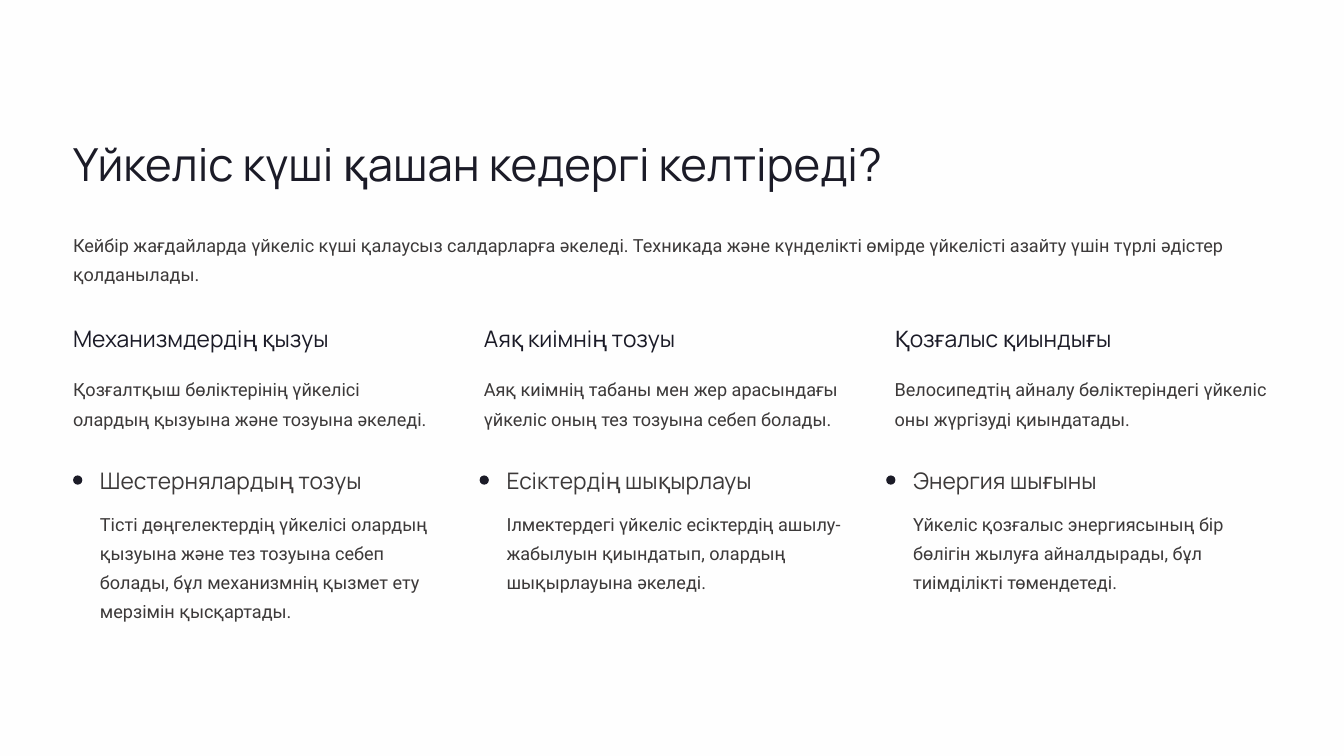
from pptx import Presentation
from pptx.dml.color import RGBColor
from pptx.enum.shapes import MSO_SHAPE
from pptx.util import Inches, Pt

ROUNDED = MSO_SHAPE.ROUNDED_RECTANGLE
COLORS = {"background": "FEFEFE", "dark": "1B1B27", "gray": "3C3939"}
STYLES = {
    "title": ("Manrope", 39, 48.5, "dark", False),
    "heading": ("Manrope", 19.5, 24, "dark", False),
    "point": ("Manrope", 19.5, 24, "gray", False),
    "body": ("Roboto", 15.5, 25, "gray", True),
}
LEFT = 0.87
TITLE = "Үйкеліс күші қашан кедергі келтіреді?"
INTRO = ("Кейбір жағдайларда үйкеліс күші қалаусыз салдарларға әкеледі. "
         "Техникада және күнделікті өмірде үйкелісті азайту үшін түрлі әдістер қолданылады.")
TOPICS = [
    ("Механизмдердің қызуы", 3.15,
     "Қозғалтқыш бөліктерінің үйкелісі олардың қызуына және тозуына әкеледі.", 4.35),
    ("Аяқ киімнің тозуы", 2.71,
     "Аяқ киімнің табаны мен жер арасындағы үйкеліс оның тез тозуына себеп болады.", 4.35),
    ("Қозғалыс қиындығы", 2.71,
     "Велосипедтің айналу бөліктеріндегі үйкеліс оны жүргізуді қиындатады.", 4.5),
]
POINTS = [
    ("Шестернялардың тозуы", 3.25,
     "Тісті дөңгелектердің үйкелісі олардың қызуына және тез тозуына себеп болады, "
     "бұл механизмнің қызмет ету мерзімін қысқартады.", 1.39),
    ("Есіктердің шықырлауы", 3.05,
     "Ілмектердегі үйкеліс есіктердің ашылу-жабылуын қиындатып, "
     "олардың шықырлауына әкеледі.", 1.04),
    ("Энергия шығыны", 2.71,
     "Үйкеліс қозғалыс энергиясының бір бөлігін жылуға айналдырады, "
     "бұл тиімділікті төмендетеді.", 1.04),
]


def color(name):
    return RGBColor.from_string(COLORS[name])


def add_text(page, text, style, left, top, width, height):
    font_name, size, line_height, color_name, wraps = STYLES[style]
    box = page.shapes.add_textbox(Inches(left), Inches(top), Inches(width), Inches(height))
    frame = box.text_frame
    frame.margin_left = frame.margin_right = frame.margin_top = frame.margin_bottom = 0
    frame.word_wrap = wraps
    frame.text = text
    para = frame.paragraphs[0]
    para.line_spacing = Pt(line_height)
    font = para.runs[0].font
    font.name = font_name
    font.size = Pt(size)
    font.color.rgb = color(color_name)


def add_header(page, left, top):
    add_text(page, TITLE, "title", left, top, 9.76, 0.68)
    add_text(page, INTRO, "body", left, top + 1.11, 14.26, 0.69)


def add_topic(page, left, top, topic):
    heading, heading_width, body, body_width = topic
    add_text(page, heading, "heading", left, top, heading_width, 0.34)
    add_text(page, body, "body", left, top + 0.56, body_width, 0.69)


def add_point(page, left, top, point):
    heading, heading_width, body, body_height = point
    dot = page.shapes.add_shape(ROUNDED, Inches(left), Inches(top + 0.11),
                                Inches(0.11), Inches(0.11))
    dot.adjustments[0] = 0.5
    dot.shadow.inherit = False
    dot.fill.solid()
    dot.fill.fore_color.rgb = color("dark")
    dot.line.fill.background()
    add_text(page, heading, "point", left + 0.32, top, heading_width, 0.34)
    add_text(page, body, "body", left + 0.32, top + 0.47, 4.25, body_height)


def main():
    deck = Presentation()
    deck.slide_width = Inches(16)
    deck.slide_height = Inches(9)
    page = deck.slides.add_slide(deck.slide_layouts[6])
    page.background.fill.solid()
    page.background.fill.fore_color.rgb = color("background")
    add_header(page, LEFT, 1.59)
    for column, topic in enumerate(TOPICS):
        add_topic(page, LEFT + column * 4.89, 3.86, topic)
    for column, point in enumerate(POINTS):
        add_point(page, LEFT + column * 4.84, 5.55, point)
    deck.save("out.pptx")


if __name__ == "__main__":
    main()
